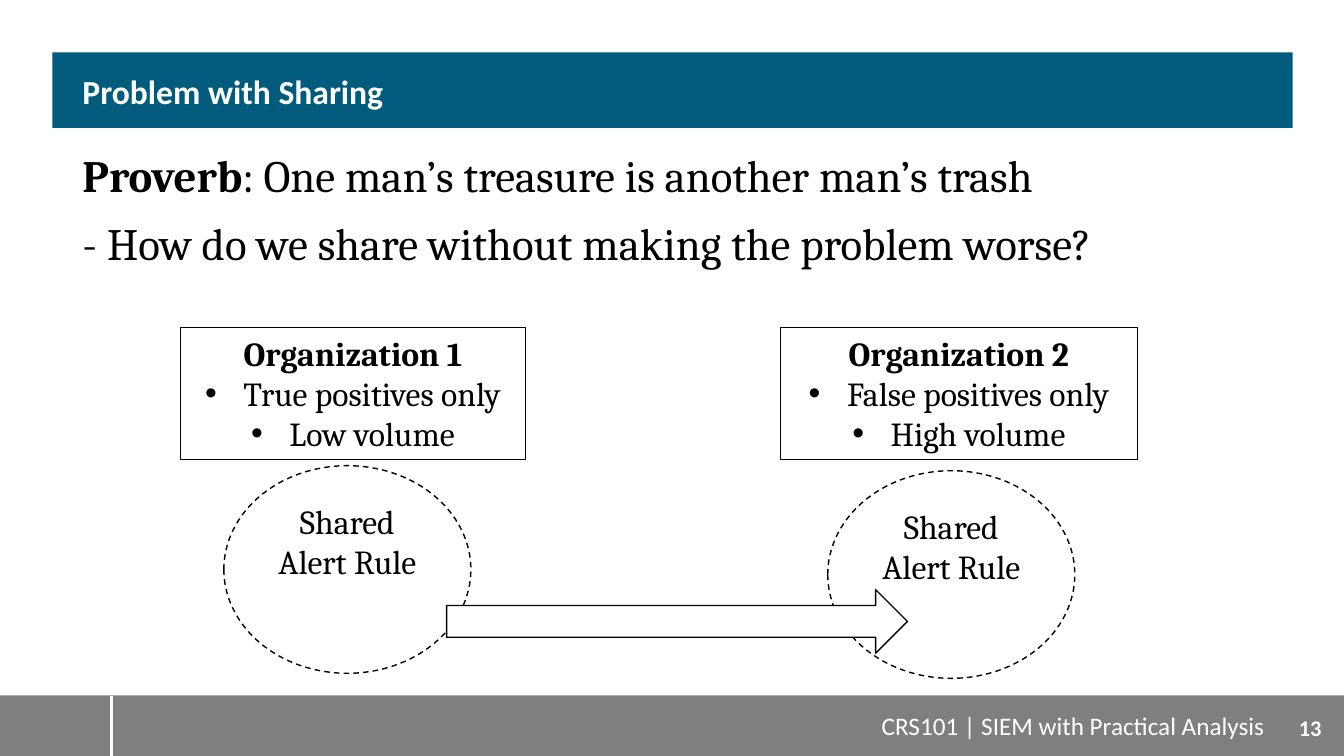
from lxml import etree
from pptx import Presentation
from pptx.dml.color import RGBColor
from pptx.enum.dml import MSO_LINE_DASH_STYLE as Dash
from pptx.enum.shapes import MSO_CONNECTOR, MSO_SHAPE as Shape
from pptx.enum.text import MSO_ANCHOR as Anchor, PP_ALIGN as Align
from pptx.oxml.ns import qn
from pptx.util import Inches, Pt

BLACK = RGBColor(0x00, 0x00, 0x00)
WHITE = RGBColor(0xFF, 0xFF, 0xFF)
GRAY = RGBColor(0x7F, 0x7F, 0x7F)
TEAL = RGBColor(0x00, 0x5B, 0x7D)
HEADING_FONT, BODY_FONT = "Calibri", "Cambria"


def set_font(para, name, size, color, bold=None):
    font = para.font
    font.name, font.size, font.bold = name, Pt(size), bold
    font.color.rgb = color


def add_shape(page, kind, left, top, width, height, fill=None, line=None, dash=None):
    """Add a flat shape; line is a black outline's width in points."""
    shape = page.shapes.add_shape(
        kind, Inches(left), Inches(top), Inches(width), Inches(height))
    shape.shadow.inherit = False
    if fill is None:
        shape.fill.background()
    else:
        shape.fill.solid()
        shape.fill.fore_color.rgb = fill
    if line is None:
        shape.line.fill.background()
    else:
        shape.line.color.rgb = BLACK
        shape.line.width = Pt(line)
        if dash is not None:
            shape.line.dash_style = dash
    return shape


def add_text(page, left, top, width, height, anchor=Anchor.TOP):
    box = page.shapes.add_textbox(
        Inches(left), Inches(top), Inches(width), Inches(height))
    frame = box.text_frame
    frame.word_wrap = True
    frame.vertical_anchor = anchor
    return frame


def add_bullet(para):
    props = para._p.get_or_add_pPr()
    props.set("marL", str(Inches(0.38)))
    props.set("indent", str(-Inches(0.38)))
    etree.SubElement(props, qn("a:buFont")).set("typeface", "Arial")
    etree.SubElement(props, qn("a:buChar")).set("char", "•")


def add_footer(page, left, top, width, height):
    add_shape(page, Shape.RECTANGLE, left, top, width, height, fill=GRAY)
    divider_x = Inches(left + 1.11)
    divider = page.shapes.add_connector(
        MSO_CONNECTOR.STRAIGHT, divider_x, Inches(top), divider_x, Inches(top + height))
    divider.line.color.rgb = WHITE
    divider.line.width = Pt(2)
    etree.SubElement(divider._element.spPr, qn("a:effectLst"))

    course = add_text(page, left + 5.97, top + 0.1, 6.67, 0.4).paragraphs[0]
    course.text = "CRS101 | SIEM with Practical Analysis"
    course.alignment = Align.RIGHT
    set_font(course, HEADING_FONT, 18, WHITE)

    number = add_text(page, left + 12.64, top + 0.02, 0.71, height, Anchor.MIDDLE).paragraphs[0]
    number.text = "13"
    number.alignment = Align.CENTER
    set_font(number, HEADING_FONT, 16, WHITE, bold=True)


def add_title(page, left, top, width, height):
    add_shape(page, Shape.RECTANGLE, left, top, width, height, fill=TEAL)
    frame = add_text(page, left + 0.2, top, width - 0.4, height, Anchor.MIDDLE)
    frame.margin_top, frame.margin_bottom = Inches(0.07), 0
    para = frame.paragraphs[0]
    para.text = "Problem with Sharing"
    para.line_spacing = 0.9
    set_font(para, HEADING_FONT, 24, WHITE, bold=True)


def add_proverb(page, left, top, width, height):
    frame = add_text(page, left, top, width, height)
    proverb = frame.paragraphs[0]
    label = proverb.add_run()
    label.text = "Proverb"
    label.font.bold = True
    proverb.add_run().text = ": One man’s treasure is another man’s trash"
    question = frame.add_paragraph()
    question.text = "- How do we share without making the problem worse?"
    question.space_before = Pt(10)
    for para in (proverb, question):
        set_font(para, BODY_FONT, 32, BLACK)


def add_alert_rule(page, left, top, width, height):
    circle = add_shape(page, Shape.OVAL, left, top, width, height, line=1, dash=Dash.DASH)
    frame = circle.text_frame
    frame.word_wrap = True
    frame.vertical_anchor = Anchor.TOP
    para = frame.paragraphs[0]
    para.text = "Shared Alert Rule"
    para.alignment = Align.CENTER
    set_font(para, BODY_FONT, 24, BLACK)


def add_organization(page, left, top, width, height, name, traits):
    card = add_shape(page, Shape.RECTANGLE, left, top, width, height, line=0.75)
    frame = card.text_frame
    frame.word_wrap = True
    frame.vertical_anchor = Anchor.TOP
    heading = frame.paragraphs[0]
    heading.text = name
    heading.alignment = Align.CENTER
    set_font(heading, BODY_FONT, 24, BLACK, bold=True)
    for trait in traits:
        para = frame.add_paragraph()
        para.text = trait
        para.alignment = Align.CENTER
        add_bullet(para)
        set_font(para, BODY_FONT, 24, BLACK)


def add_sharing_diagram(page, left, top):
    add_alert_rule(page, left + 0.43, top + 1.37, 2.45, 2.06)
    add_organization(page, left, top, 3.42, 1.31, "Organization 1",
                     ["True positives only", "Low volume"])
    add_organization(page, left + 5.95, top, 3.54, 1.31, "Organization 2",
                     ["False positives only", "High volume"])
    add_alert_rule(page, left + 6.42, top + 1.42, 2.45, 2.06)
    add_shape(page, Shape.RIGHT_ARROW, left + 2.64, top + 2.6, 4.57, 0.63,
              fill=WHITE, line=1)


def main():
    deck = Presentation()
    deck.slide_width, deck.slide_height = Inches(13.33), Inches(7.5)
    page = deck.slides.add_slide(deck.slide_layouts[6])
    add_footer(page, 0, 6.9, 13.33, 0.6)
    add_title(page, 0.52, 0.52, 12.3, 0.75)
    add_proverb(page, 0.72, 1.42, 11.9, 5.33)
    add_sharing_diagram(page, 1.79, 3.25)
    deck.save("out.pptx")


if __name__ == "__main__":
    main()
